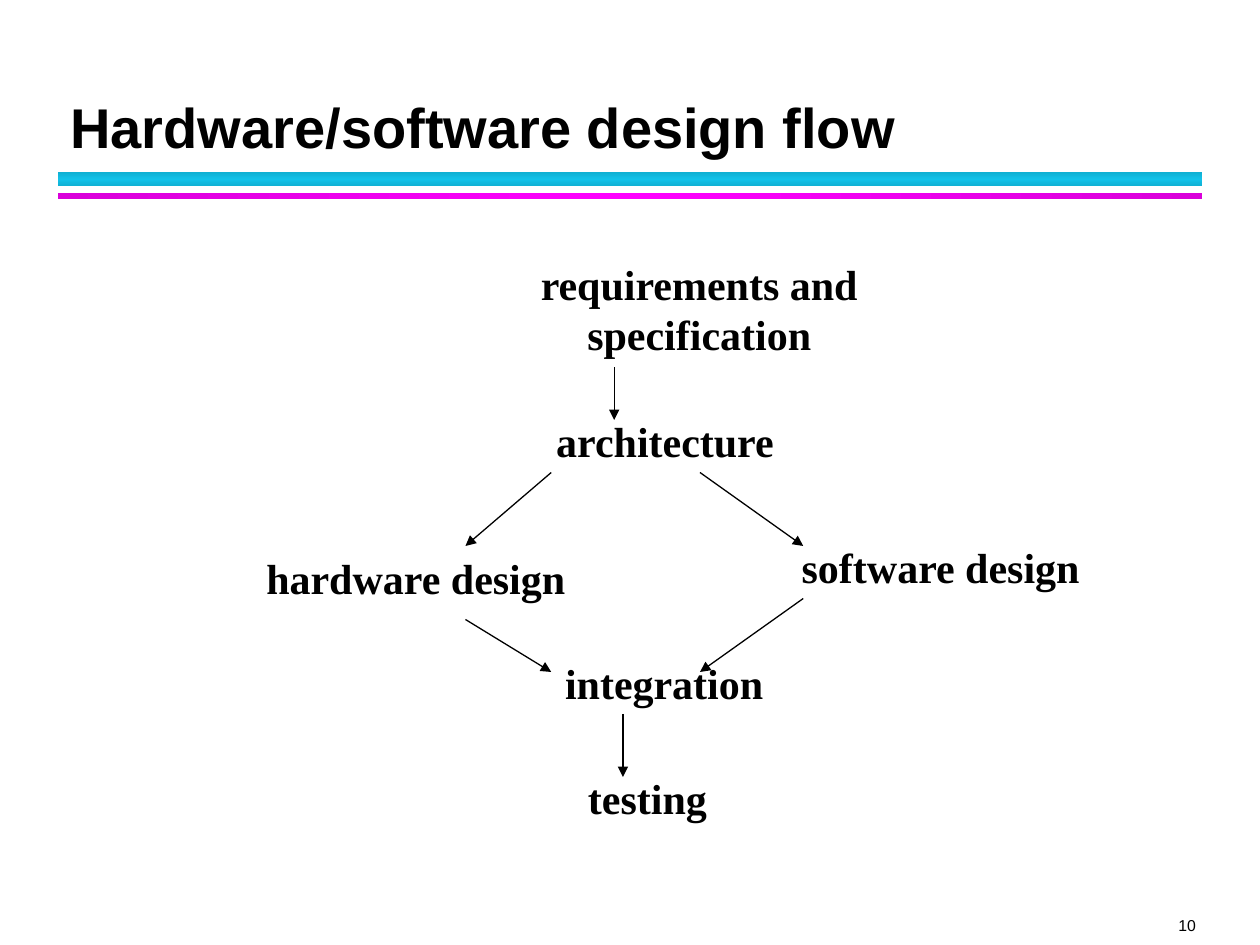
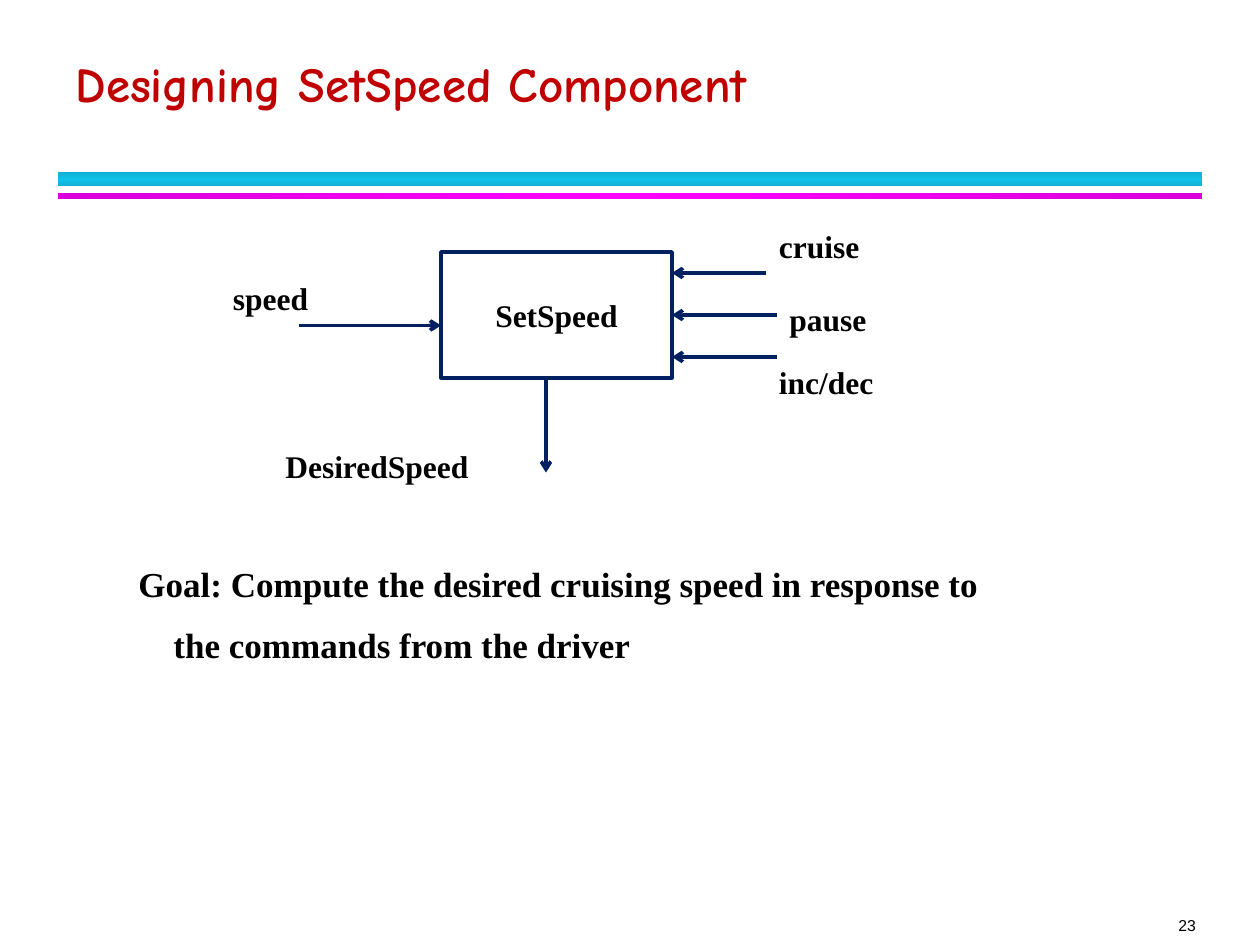
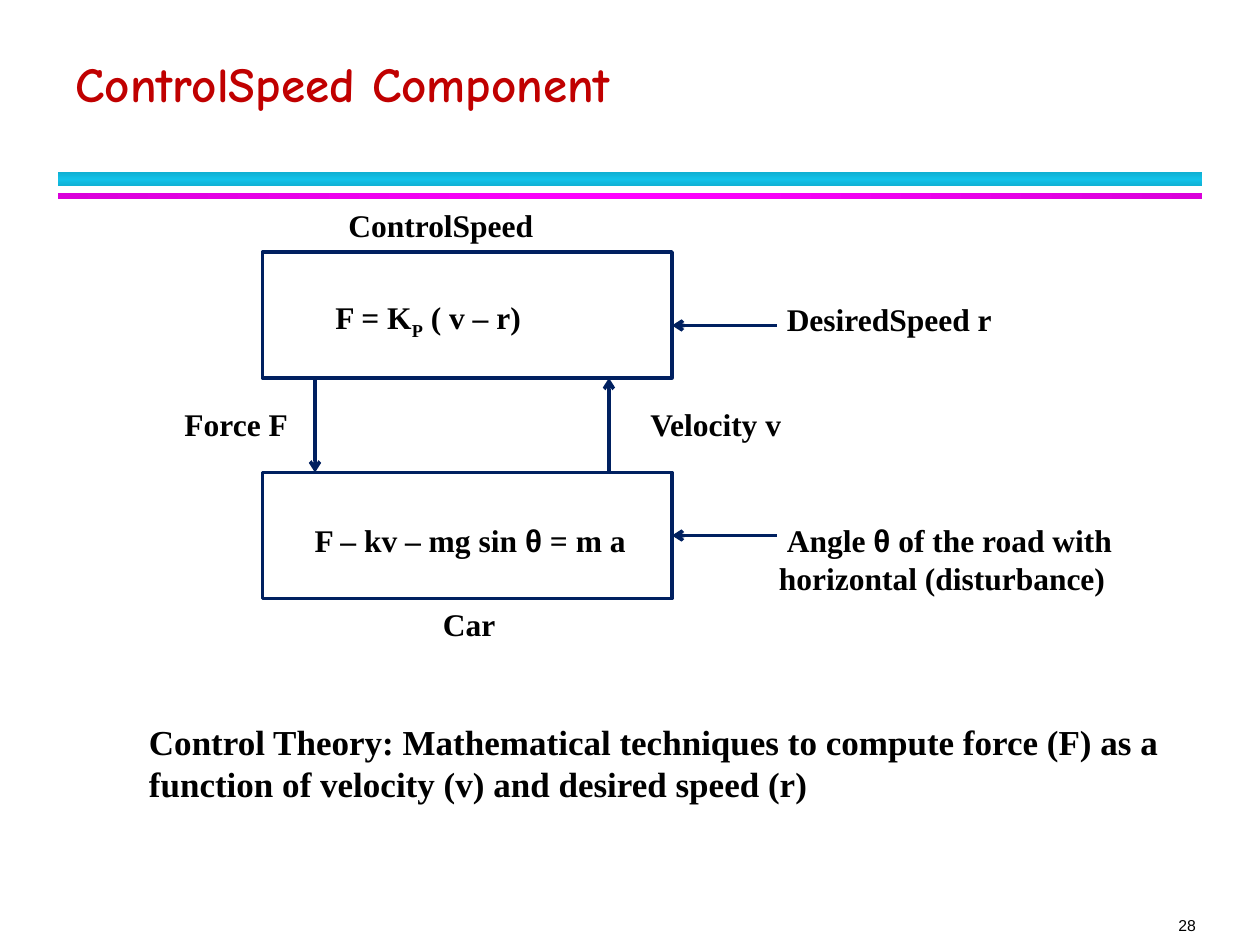
from collections import namedtuple

from lxml import etree
from pptx import Presentation
from pptx import util as u
from pptx.dml.color import RGBColor
from pptx.enum import shapes, text
from pptx.oxml import ns, parse_xml

Box = namedtuple("Box", "left top width height")

BLACK, NAVY, RED = "000000", "002060", "C00000"
TEAL_BAND = ("10B0D3", "12C2E9", "10B0D3")
PINK_BAND = ("DA00DA", "FF00FF", "DA00DA")
SANS, SERIF, HAND = "Arial", "Times New Roman", "Comic Neue"
LEFT, CENTER, RIGHT = text.PP_ALIGN.LEFT, text.PP_ALIGN.CENTER, text.PP_ALIGN.RIGHT


def color(value):
    return RGBColor.from_string(value)


def points(box):
    return [u.Pt(length) for length in box]


def inside(area, left, top, width, height):
    return Box(area.left + left, area.top + top, width, height)


def add_span(para, words, size, font=SERIF, bold=True, fill=BLACK, baseline=0):
    span = para.add_run()
    span.text = words
    span.font.size = u.Pt(size)
    span.font.name = font
    span.font.bold = bold
    span.font.color.rgb = color(fill)
    if baseline:
        span.font._element.set("baseline", str(baseline * 1000))


def indent(para, margin=0, first=0):
    properties = para._p.get_or_add_pPr()
    properties.set("marL", str(u.Pt(margin)))
    properties.set("indent", str(u.Pt(first)))


def fill_para(para, spans, size, align=LEFT):
    para.alignment = align
    for span in spans:
        words, options = (span, {}) if isinstance(span, str) else span
        add_span(para, words, size, **options)


def add_label(page, box, lines, size=18, align=LEFT, wrap=True):
    label = page.shapes.add_textbox(*points(box))
    frame = label.text_frame
    frame.word_wrap = wrap
    for index, spans in enumerate(lines):
        para = frame.add_paragraph() if index else frame.paragraphs[0]
        fill_para(para, spans, size, align)
    return label


def add_block(page, box, spans, align=CENTER, left_inset=7.2, drop=0):
    block = page.shapes.add_shape(shapes.MSO_SHAPE.RECTANGLE, *points(box))
    block.shadow.inherit = False
    block.fill.background()
    block.line.color.rgb = color(NAVY)
    block.line.width = u.Pt(2)
    frame = block.text_frame
    frame.word_wrap = True
    frame.vertical_anchor = text.MSO_ANCHOR.MIDDLE
    frame.margin_left = u.Pt(left_inset)
    frame.margin_top, frame.margin_bottom = u.Pt(2 * drop), 0
    fill_para(frame.paragraphs[0], spans, 18, align)
    return block


def add_arrow(page, area, start, end, line=NAVY, width=2, head="arrow"):
    ends = [area.left + start[0], area.top + start[1],
            area.left + end[0], area.top + end[1]]
    arrow = page.shapes.add_connector(shapes.MSO_CONNECTOR.STRAIGHT, *points(ends))
    arrow.line.color.rgb = color(line)
    arrow.line.width = u.Pt(width)
    etree.SubElement(arrow.line._get_or_add_ln(), ns.qn("a:tailEnd"), type=head)
    etree.SubElement(arrow._element.spPr, ns.qn("a:effectLst"))
    return arrow


def add_band(page, box, stops, angle):
    band = page.shapes.add_shape(shapes.MSO_SHAPE.RECTANGLE, *points(box))
    band.shadow.inherit = False
    band.line.fill.background()
    marks = "".join(
        f'<a:gs pos="{index * 50000}"><a:srgbClr val="{stop}"/></a:gs>'
        for index, stop in enumerate(stops))
    gradient = parse_xml(
        f'<a:gradFill {ns.nsdecls("a")}><a:gsLst>{marks}</a:gsLst>'
        f'<a:lin ang="{angle * 60000}" scaled="0"/></a:gradFill>')
    band._element.spPr.find(ns.qn("a:prstGeom")).addnext(gradient)


def add_page(deck, title, number, title_box, size, font, fill):
    page = deck.slides.add_slide(deck.slide_layouts[5])
    add_band(page, Box(33, 98.5, 654, 8), TEAL_BAND, 90)
    add_band(page, Box(33, 110.3, 654, 3.4), PINK_BAND, 0)

    heading = page.shapes.title
    heading.left, heading.top, heading.width, heading.height = points(title_box)
    frame = heading.text_frame
    frame.auto_size = text.MSO_AUTO_SIZE.NONE
    frame.vertical_anchor = text.MSO_ANCHOR.BOTTOM
    para = frame.paragraphs[0]
    para.line_spacing = u.Pt(36)
    fill_para(para, [(title, {"font": font, "fill": fill})], size)

    footer = add_label(page, Box(630.7, 523.4, 52.6, 10.8),
                       [[(number, {"font": SANS, "bold": False})]], 9, RIGHT)
    frame = footer.text_frame
    frame.vertical_anchor = text.MSO_ANCHOR.BOTTOM
    frame.margin_left = frame.margin_right = frame.margin_top = frame.margin_bottom = 0
    return page


def add_component_page(deck, title, number):
    return add_page(deck, title, number, Box(36, 12, 648, 56), 28, HAND, RED)


def draw_design_flow(page, area):
    steps = [
        (255.6, 0, 197, 65.5, ["requirements and", "specification"]),
        (236, 90, 140, 36, ["architecture"]),
        (93.6, 168, 187, 36, ["hardware design"]),
        (393.5, 162, 175, 36, ["software design"]),
        (235.5, 228, 129, 36, ["integration"]),
        (226, 294, 83.5, 36, ["testing"]),
    ]
    for middle, top, width, height, lines in steps:
        box = inside(area, middle - width / 2, top, width, height)
        add_label(page, box, [[line] for line in lines], 24, CENTER, wrap=False)

    arrows = [
        ((207, 66), (207, 96)),
        ((171, 126), (122, 168)),
        ((256, 126), (315, 168)),
        ((122, 210), (171, 240)),
        ((315, 198), (256, 240)),
        ((212, 264), (212, 300)),
    ]
    for start, end in arrows:
        add_arrow(page, area, start, end, BLACK, 0.75, "triangle")


def draw_set_speed(page, area):
    block = add_block(page, inside(area, 126, 18, 132, 72), ["SetSpeed"])
    labels = [
        ("cruise", 312, 0, 90),
        ("pause", 318, 42, 132),
        ("inc/dec", 312, 78, 90),
        ("speed", 0, 30, 90),
        ("DesiredSpeed", 30, 126, 144),
    ]
    for words, left, top, width in labels:
        add_label(page, inside(area, left, top, width, 29), [[words]])
    add_arrow(page, area, (312, 30), (258, 30))
    pause = add_arrow(page, area, (318, 54), (258, 54))
    pause.end_connect(block, 3)
    add_arrow(page, area, (318, 78), (258, 78))
    add_arrow(page, area, (45, 60), (126, 60))
    add_arrow(page, area, (186, 90), (186, 144))


def draw_goal(page, box):
    goal = add_label(page, box, [
        ["Goal: Compute the desired cruising speed in response to"],
        ["the commands from the driver"],
    ], 20)
    para = goal.text_frame.paragraphs[1]
    indent(para, margin=20)
    para.space_before = u.Pt(11)


def draw_control_loop(page, area):
    theta = ("θ", {"font": SANS})
    add_block(page, inside(area, 72, 30, 234, 72),
              ["F = K", ("P", {"baseline": -25}), " ( v – r)"], LEFT, 41.7, 2.4)
    car = add_block(page, inside(area, 72, 156, 234, 72),
                    ["F – kv – mg sin ", theta, " = m a"], LEFT, 29.7, 2.4)
    labels = [
        ("ControlSpeed", 114, 0, 132, LEFT),
        ("DesiredSpeed r", 364.5, 54, 162, LEFT),
        ("Force F", 0, 114, 114, CENTER),
        ("Velocity v", 286.5, 114, 162, LEFT),
        ("Car", 168, 228, 108, LEFT),
    ]
    for words, left, top, width, align in labels:
        add_label(page, inside(area, left, top, width, 29), [[words]], align=align)
    angle = add_label(page, inside(area, 360, 180, 240, 51),
                      [["Angle ", theta, " of the road with horizontal (disturbance)"]])
    indent(angle.text_frame.paragraphs[0], first=4.5)

    add_arrow(page, area, (366, 72), (306, 72))
    add_arrow(page, area, (102, 102), (102, 156))
    add_arrow(page, area, (270, 156), (270, 102))
    disturbance = add_arrow(page, area, (366, 192), (306, 192))
    disturbance.end_connect(car, 3)


def draw_control_theory(page, box):
    add_label(page, box, [[
        "Control Theory: Mathematical techniques to compute force (F) as a "
        "function of velocity (v) and desired speed (r)"]], 20)


def main():
    deck = Presentation()
    deck.slide_width, deck.slide_height = u.Pt(720), u.Pt(540)

    page = add_page(deck, "Hardware/software design flow", "10",
                    Box(33, 24, 652, 71), 32, SANS, BLACK)
    draw_design_flow(page, Box(144, 144, 481, 330))

    page = add_component_page(deck, "Designing SetSpeed Component", "23")
    draw_set_speed(page, Box(126, 126, 450, 155))
    draw_goal(page, Box(72, 318, 570, 68))

    page = add_component_page(deck, "ControlSpeed Component", "28")
    draw_control_loop(page, Box(78, 114, 600, 257))
    draw_control_theory(page, Box(78, 408, 600, 55.5))

    deck.save("out.pptx")


if __name__ == "__main__":
    main()
